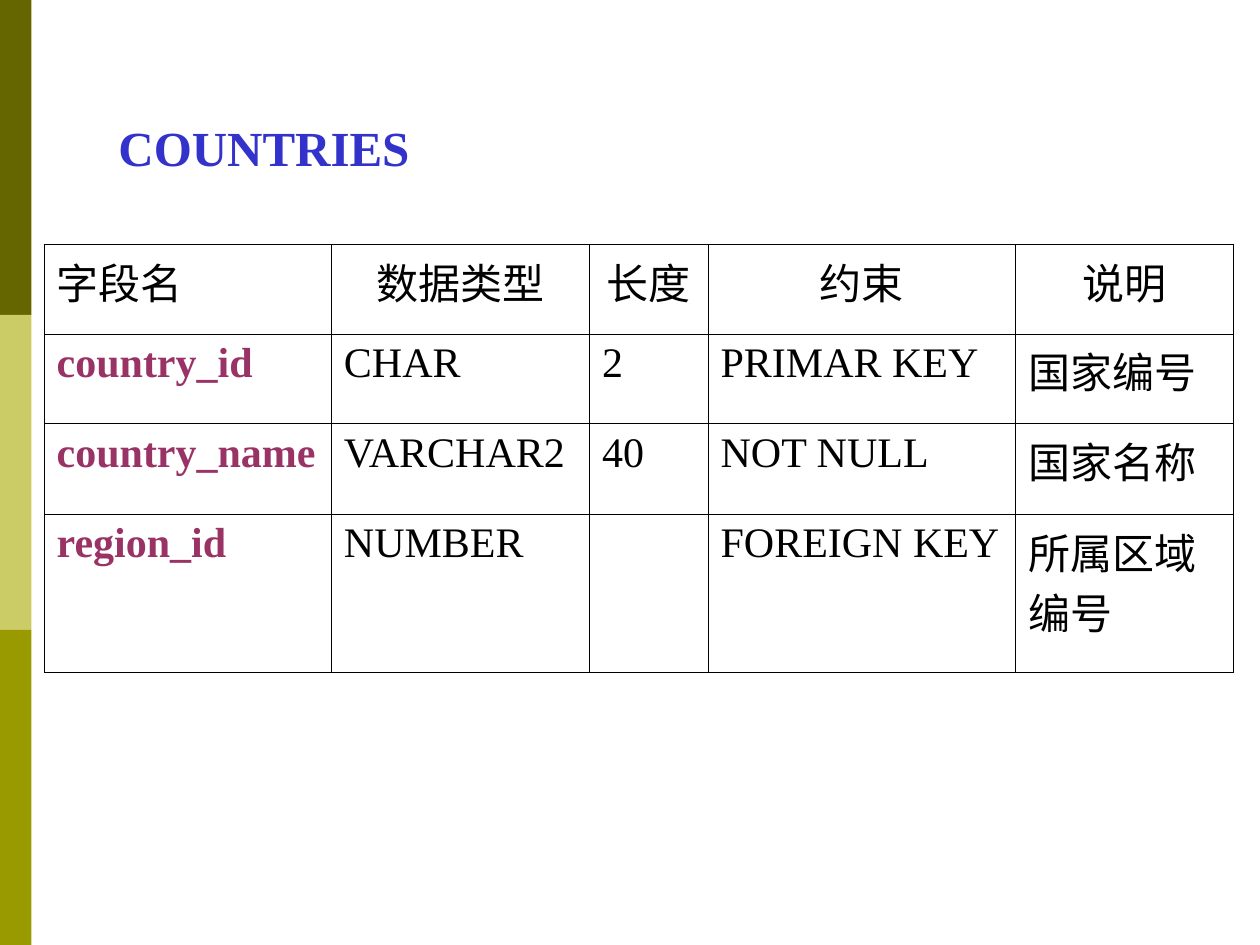
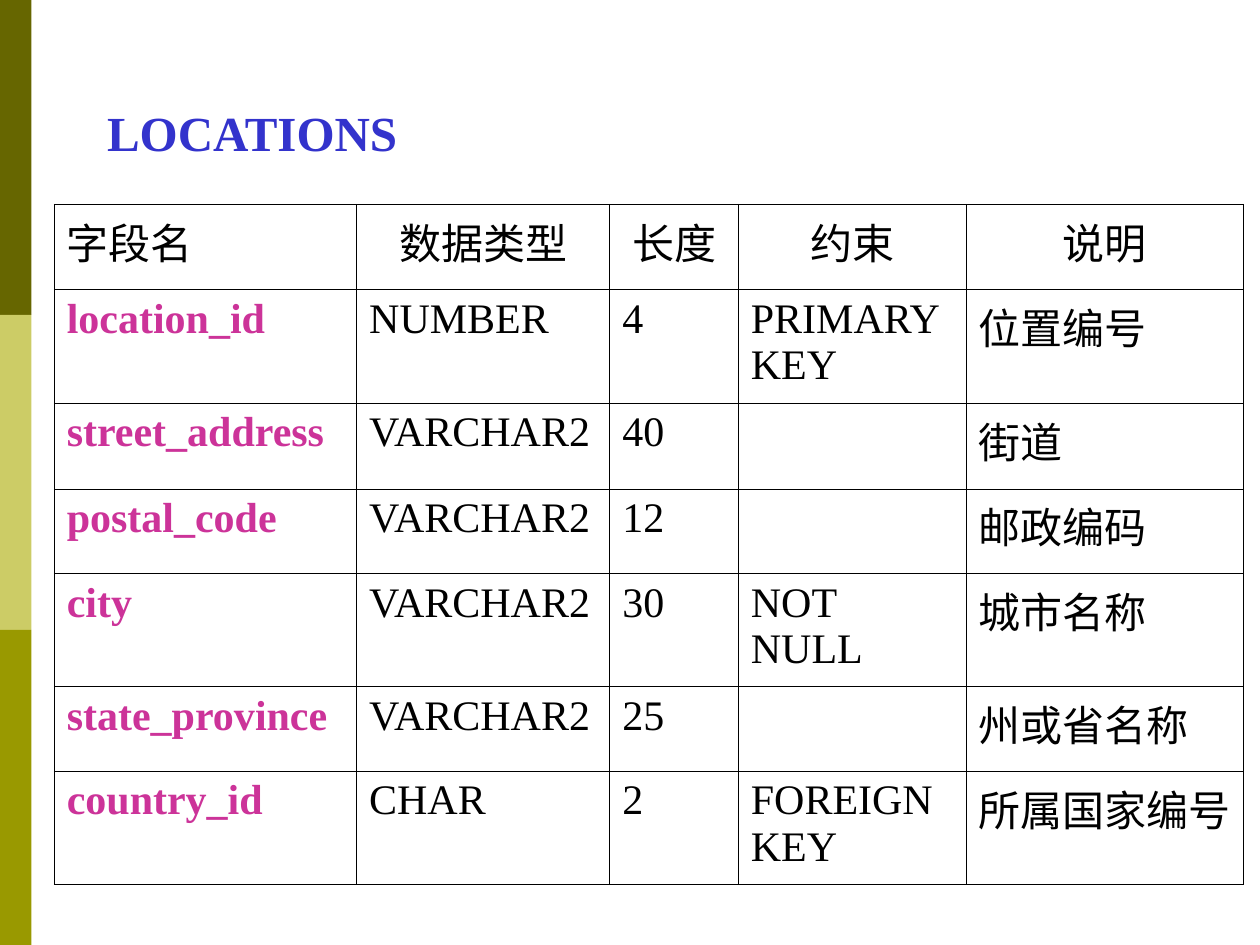
from lxml.etree import SubElement
from pptx import Presentation
from pptx.dml.color import RGBColor
from pptx.enum.lang import MSO_LANGUAGE_ID
from pptx.enum.shapes import MSO_SHAPE
from pptx.enum.text import MSO_ANCHOR, MSO_AUTO_SIZE, PP_ALIGN
from pptx.oxml.ns import qn
from pptx.util import Inches, Pt

FONT = "Times New Roman"
BLACK = RGBColor(0x00, 0x00, 0x00)
BLUE = RGBColor(0x33, 0x33, 0xCC)
PLUM = RGBColor(0x99, 0x33, 0x66)
PINK = RGBColor(0xCC, 0x33, 0x99)
BAND_COLORS = [
    RGBColor(0x66, 0x66, 0x00),
    RGBColor(0xCC, 0xCC, 0x66),
    RGBColor(0x99, 0x99, 0x00),
]
BAND_WIDTH, BAND_HEIGHT = 0.25, 2.5
BORDER_WIDTH = Pt(0.45)

HEADER = ("字段名", "数据类型", "长度", "约束", "说明")
SCHEMAS = [
    {
        "title": "COUNTRIES",
        "title_box": (0.84, 0.88, 3.22, 0.57),
        "field_color": PLUM,
        "table_at": (0.35, 1.94),
        "columns": (2.28, 2.05, 0.94, 2.44, 1.73),
        "rows": (0.71, 0.71, 0.72, 1.26),
        "fields": [
            ("country_id", "CHAR", "2", "PRIMAR KEY", "国家编号"),
            ("country_name", "VARCHAR2", "40", "NOT NULL", "国家名称"),
            ("region_id", "NUMBER", "", "FOREIGN KEY", "所属区域编号"),
        ],
    },
    {
        "title": "LOCATIONS",
        "title_box": (0.75, 0.76, 4.21, 0.57),
        "field_color": PINK,
        "table_at": (0.43, 1.62),
        "columns": (2.4, 2.01, 1.02, 1.81, 2.2),
        "rows": (0.68, 0.9, 0.68, 0.67, 0.9, 0.67, 0.9),
        "fields": [
            ("location_id", "NUMBER", "4", "PRIMARY KEY", "位置编号"),
            ("street_address", "VARCHAR2", "40", "", "街道"),
            ("postal_code", "VARCHAR2", "12", "", "邮政编码"),
            ("city", "VARCHAR2", "30", "NOT NULL", "城市名称"),
            ("state_province", "VARCHAR2", "25", "", "州或省名称"),
            ("country_id", "CHAR", "2", "FOREIGN KEY", "所属国家编号"),
        ],
    },
]


def write(frame, text, size=24, color=BLACK, bold=False, align=PP_ALIGN.LEFT):
    para = frame.paragraphs[0]
    para.alignment = align
    span = para.add_run()
    span.text = text
    span.font.name = FONT
    span.font.size = Pt(size)
    span.font.bold = bold
    span.font.color.rgb = color
    span.font.language_id = MSO_LANGUAGE_ID.SIMPLIFIED_CHINESE


def add_bands(page):
    for index, color in enumerate(BAND_COLORS):
        band = page.shapes.add_shape(
            MSO_SHAPE.RECTANGLE, 0, Inches(index * BAND_HEIGHT),
            Inches(BAND_WIDTH), Inches(BAND_HEIGHT))
        band.shadow.inherit = False
        band.fill.solid()
        band.fill.fore_color.rgb = color
        band.line.fill.background()


def set_title(page, text, box):
    title = page.shapes.title
    title.left, title.top, title.width, title.height = map(Inches, box)
    frame = title.text_frame
    frame.word_wrap = True
    frame.auto_size = MSO_AUTO_SIZE.SHAPE_TO_FIT_TEXT
    frame.vertical_anchor = MSO_ANCHOR.MIDDLE
    write(frame, text, size=28, color=BLUE, bold=True)


def outline(cell):
    """Clear the cell's fill and draw a thin line on its four sides."""
    properties = cell._tc.get_or_add_tcPr()
    for side in ("lnL", "lnR", "lnT", "lnB"):
        line = SubElement(properties, qn(f"a:{side}"), w=str(BORDER_WIDTH))
        fill = SubElement(line, qn("a:solidFill"))
        SubElement(fill, qn("a:srgbClr"), val=str(BLACK))
    cell.fill.background()


def add_field_table(page, schema):
    columns, rows = schema["columns"], schema["rows"]
    left, top = schema["table_at"]
    table = page.shapes.add_table(
        len(rows), len(columns), Inches(left), Inches(top),
        Inches(sum(columns)), Inches(sum(rows))).table
    table.first_row = table.horz_banding = False
    for column, width in zip(table.columns, columns):
        column.width = Inches(width)
    for row, height in zip(table.rows, rows):
        row.height = Inches(height)

    for r, texts in enumerate([HEADER] + schema["fields"]):
        for c, text in enumerate(texts):
            cell = table.cell(r, c)
            outline(cell)
            if not text:
                continue
            is_field_name = r > 0 and c == 0
            is_centered = r == 0 and c > 0
            write(cell.text_frame, text, bold=is_field_name,
                  color=schema["field_color"] if is_field_name else BLACK,
                  align=PP_ALIGN.CENTER if is_centered else PP_ALIGN.LEFT)


def main():
    deck = Presentation()
    deck.slide_width, deck.slide_height = Inches(10), Inches(7.5)
    title_only = deck.slide_layouts[5]
    for schema in SCHEMAS:
        page = deck.slides.add_slide(title_only)
        add_bands(page)
        set_title(page, schema["title"], schema["title_box"])
        add_field_table(page, schema)
    deck.save("out.pptx")


if __name__ == "__main__":
    main()
